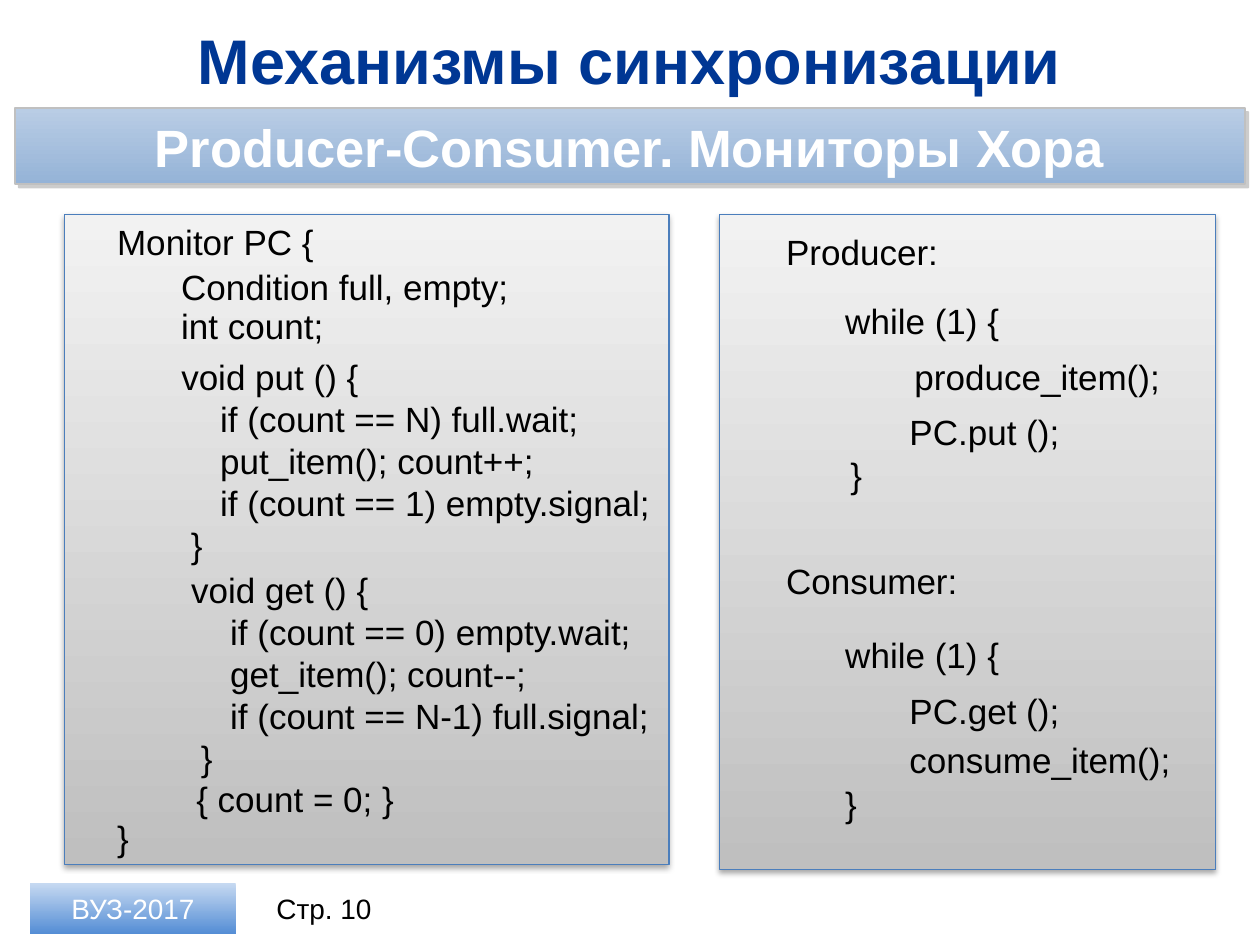
from lxml import etree
from pptx import Presentation
from pptx.dml.color import RGBColor
from pptx.enum.shapes import MSO_SHAPE
from pptx.enum.text import MSO_ANCHOR, MSO_AUTO_SIZE, PP_ALIGN
from pptx.oxml.ns import qn
from pptx.util import Pt

FONT = "Arial"
SPACE = 5.56  # width of one space at 20 pt
LINE_HEIGHT = 24


def rgb(color):
    return RGBColor.from_string(color)


def write(tf, text, size=20, color="000000", bold=False, align=PP_ALIGN.LEFT,
          indent=0, first=True):
    p = tf.paragraphs[0] if first else tf.add_paragraph()
    p.alignment = align
    if indent:
        pPr = p._p.get_or_add_pPr()
        pPr.set("marL", str(Pt(indent)))
        pPr.set("indent", "0")
    r = p.add_run()
    r.text = text
    r.font.name, r.font.size, r.font.bold = FONT, Pt(size), bold
    r.font.color.rgb = rgb(color)


def add_shadow(sp, color, alpha, blur, dist, angle):
    effects = sp._element.spPr.find(qn("a:effectLst"))
    shadow = etree.SubElement(
        effects, qn("a:outerShdw"), blurRad=str(Pt(blur)), dist=str(Pt(dist)),
        dir=str(angle * 60000), algn="ctr", rotWithShape="0")
    clr = etree.SubElement(shadow, qn("a:srgbClr"), val=color)
    etree.SubElement(clr, qn("a:alpha"), val=str(alpha * 1000))


def add_box(s, x, y, w, h, top, bottom, line=None, line_width=0.75, shadow=None):
    """Rectangle with a vertical gradient."""
    sp = s.shapes.add_shape(MSO_SHAPE.RECTANGLE, Pt(x), Pt(y), Pt(w), Pt(h))
    sp.fill.gradient()
    sp.fill.gradient_angle = 270
    for stop, color in zip(sp.fill.gradient_stops, (top, bottom)):
        stop.color.rgb = rgb(color)
    if line:
        sp.line.color.rgb = rgb(line)
        sp.line.width = Pt(line_width)
    else:
        sp.line.fill.background()
    sp.shadow.inherit = False
    if shadow:
        add_shadow(sp, *shadow)
    sp.text_frame.word_wrap = True
    sp.text_frame.vertical_anchor = MSO_ANCHOR.MIDDLE
    return sp


def add_label(s, x, y, w, h, text, **fmt):
    tf = s.shapes.add_textbox(Pt(x), Pt(y), Pt(w), Pt(h)).text_frame
    tf.word_wrap = True
    tf.vertical_anchor = MSO_ANCHOR.MIDDLE
    write(tf, text, align=PP_ALIGN.CENTER, **fmt)


def add_code(s, x, y, w, *lines):
    """Code block; each line is (text, indent in spaces)."""
    h = LINE_HEIGHT * len(lines) + 7.2
    tf = s.shapes.add_textbox(Pt(x), Pt(y), Pt(w), Pt(h)).text_frame
    tf.word_wrap = True
    tf.auto_size = MSO_AUTO_SIZE.SHAPE_TO_FIT_TEXT
    for i, (text, spaces) in enumerate(lines):
        write(tf, text, indent=spaces * SPACE, first=i == 0)


def add_method(s, x, y, head, *body):
    add_code(s, x, y, 354.2, (head, 0), *[(text, 4) for text in body], ("}", 1))


def main():
    prs = Presentation()
    prs.slide_width, prs.slide_height = Pt(720), Pt(540)
    s = prs.slides.add_slide(prs.slide_layouts[6])

    # Code panels
    for x, w, h in ((411.1, 283.7, 374.4), (36.7, 345.6, 371.5)):
        add_box(s, x, 122.4, w, h, "F2F2F2", "BFBFBF", line="4B7EBC",
                shadow=("000000", 35, 3.1, 1.8, 90))

    # Title and footer
    add_label(s, 25.2, 9.4, 668.9, 49, "Механизмы синхронизации",
              size=36, color="003794", bold=True)
    add_label(s, 146.2, 504.7, 77.8, 28.8, "Стр. 10", size=16)
    badge = add_box(s, 17.3, 504.7, 117.4, 28.8, "C6D9F1", "558ED5")
    write(badge.text_frame, "ВУЗ-2017", size=16, color="FFFFFF",
          align=PP_ALIGN.CENTER)

    # Subtitle banner
    banner = add_box(s, 8.6, 61.9, 702.7, 43.2, "B9CDE5", "95B3D7",
                     line="C0C0C0", line_width=1,
                     shadow=("808080", 40, 0, 3, 45))
    tf = banner.text_frame
    tf.margin_left = tf.margin_right = Pt(17.3)
    tf.margin_top = tf.margin_bottom = Pt(2.9)
    write(tf, "Producer-Consumer. Мониторы Хора", size=30, color="FFFFFF",
          bold=True, align=PP_ALIGN.CENTER)

    # Producer and consumer loops
    for x, y, w, text in (
        (442.1, 128.2, 147.6, "Producer:"),
        (475.9, 167.8, 147.6, "while (1) {"),
        (515.5, 199.4, 201.6, "produce_item();"),
        (512.6, 231.1, 133.2, "PC.put ();"),
        (478.8, 255.6, 147.6, "}"),
        (442.1, 316.1, 147.6, "Consumer:"),
        (475.9, 358.6, 147.6, "while (1) {"),
        (512.6, 390.2, 118.8, "PC.get ();"),
        (512.6, 418.3, 201.6, "consume_item();"),
        (475.9, 443.5, 147.6, "}"),
    ):
        add_code(s, x, y, w, (text, 0))

    # Monitor
    for x, y, w, text in (
        (59.8, 122.4, 316.1, "Monitor PC {"),
        (96.5, 148.3, 247, "Condition full, empty;"),
        (96.5, 170.6, 218.2, "int count;"),
        (105.1, 440.6, 218.2, "{ count = 0; }"),
        (59.8, 463, 72, "}"),
    ):
        add_code(s, x, y, w, (text, 0))
    add_method(s, 96.5, 199.4, "void put () {", "if (count == N) full.wait;",
               "put_item(); count++;", "if (count == 1) empty.signal;")
    add_method(s, 102.2, 321.1, "void get () {", "if (count == 0) empty.wait;",
               "get_item(); count--;", "if (count == N-1) full.signal;")

    prs.save("out.pptx")


if __name__ == "__main__":
    main()
